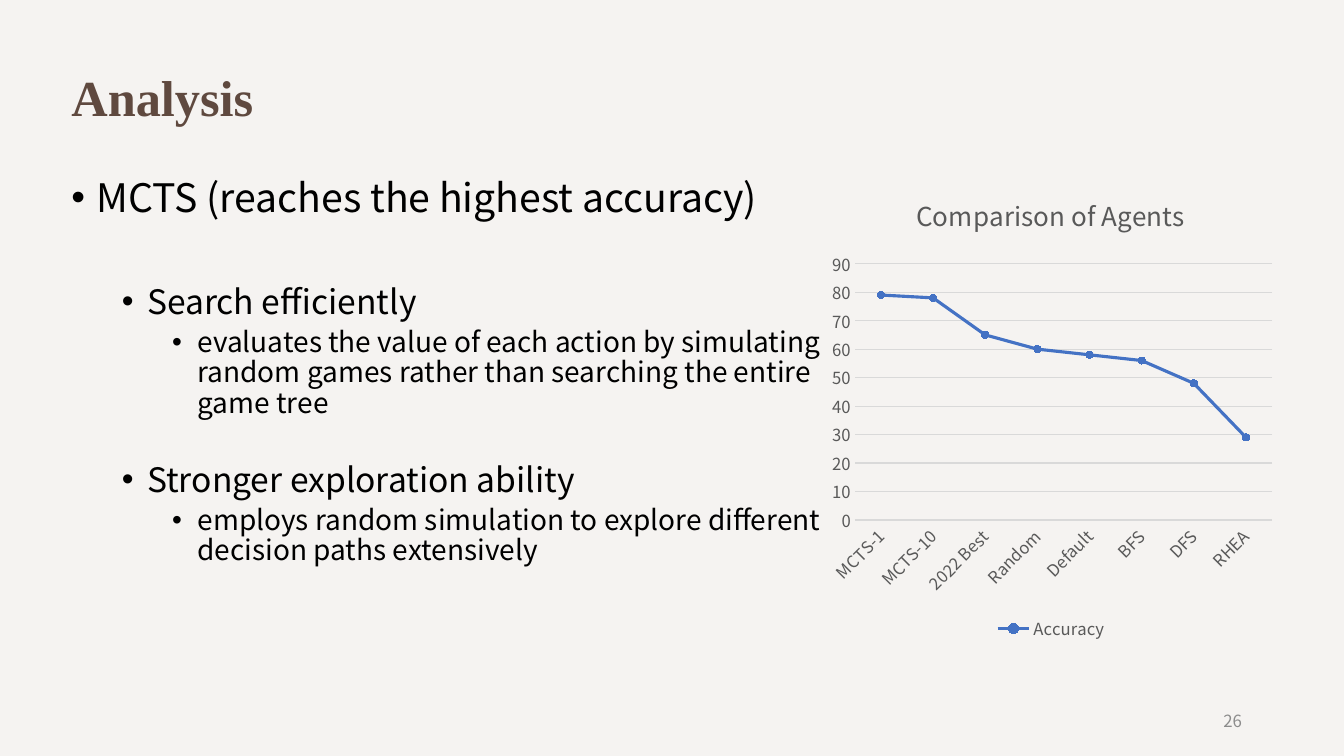
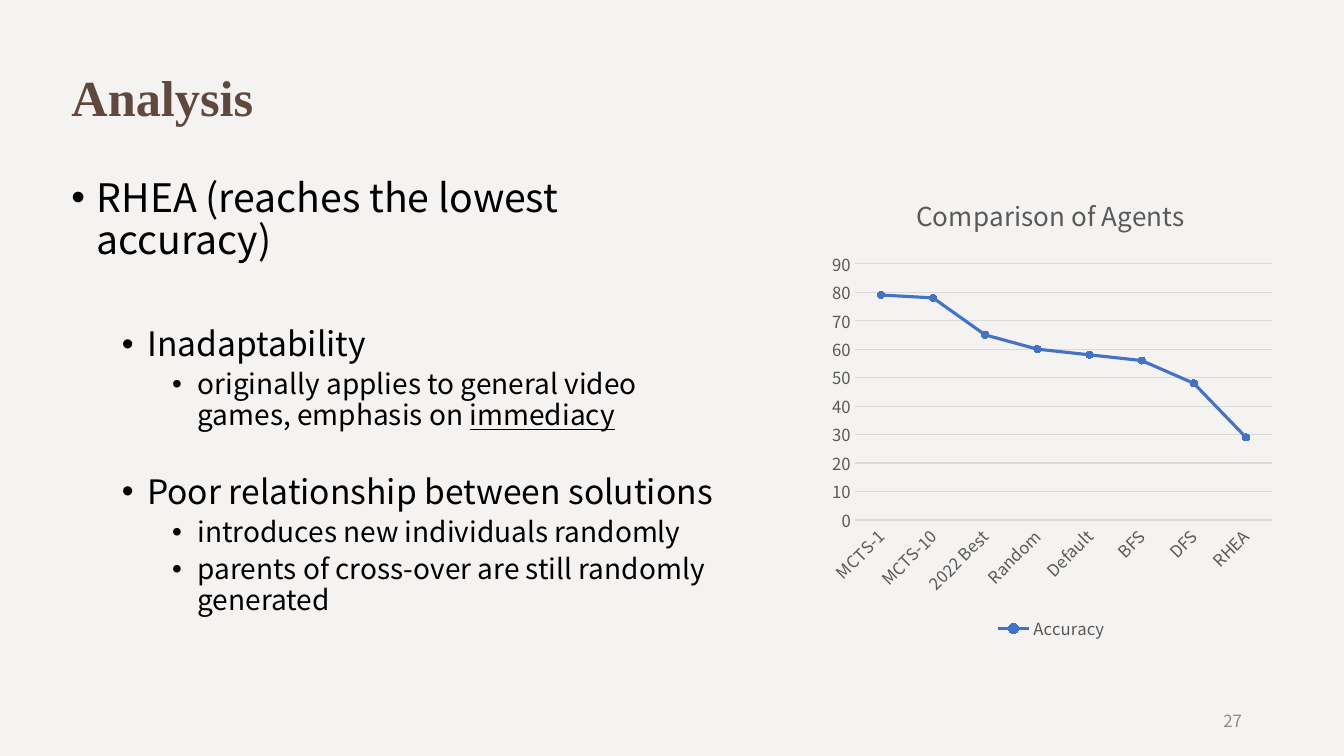
from dataclasses import dataclass

import lxml.etree
import pptx
import pptx.chart.data
import pptx.dml.color
import pptx.enum.chart
import pptx.enum.text
import pptx.oxml.ns
import pptx.util

Cm = pptx.util.Cm
Pt = pptx.util.Pt

BACKGROUND = "F5F3F1"
BROWN = "5F493F"
BLACK = "000000"
NUMBER_GREY = "8C8C8C"
CHART_GREY = "595959"
GRID_GREY = "D9D9D9"
BLUE = "4472C4"
BODY_FONT = "Noto Sans CJK SC"
TITLE_FONT = "Times New Roman"
LEFT, BODY_TOP = 1.55, 4.37
BULLET_SIZES = (28, 24, 20)
BULLET_SPACING = (10, 5, 5)
AGENTS = {
    "MCTS-1": 79,
    "MCTS-10": 78,
    "2022 Best": 65,
    "Random": 60,
    "Default": 58,
    "BFS": 56,
    "DFS": 48,
    "RHEA": 29,
}


@dataclass(frozen=True)
class Bullet:
    level: int
    text: str
    underlined: str = ""
    gap: float = 0


@dataclass(frozen=True)
class AnalysisSlide:
    number: int
    body_width: float
    bullets: tuple[Bullet, ...]


SLIDES = (
    AnalysisSlide(26, 19.86, (
        Bullet(0, "MCTS (reaches the highest accuracy)"),
        Bullet(1, "Search efficiently", gap=41),
        Bullet(2, "evaluates the value of each action by simulating random games "
                  "rather than searching the entire game tree"),
        Bullet(1, "Stronger exploration ability", gap=26.5),
        Bullet(2, "employs random simulation to explore different decision paths "
                  "extensively"),
    )),
    AnalysisSlide(27, 16.89, (
        Bullet(0, "RHEA (reaches the lowest accuracy)"),
        Bullet(1, "Inadaptability", gap=41),
        Bullet(2, "originally applies to general video games, emphasis on ",
               underlined="immediacy"),
        Bullet(1, "Poor relationship between solutions", gap=26.5),
        Bullet(2, "introduces new individuals randomly"),
        Bullet(2, "parents of cross-over are still randomly generated"),
    )),
)


def rgb(value: str) -> pptx.dml.color.RGBColor:
    return pptx.dml.color.RGBColor.from_string(value)


def style_font(font, size: float, color: str, name: str = BODY_FONT,
               bold: bool = False) -> None:
    font.size = Pt(size)
    font.name = name
    font.bold = bold
    font.color.rgb = rgb(color)


def style_line(line, color: str, width: float) -> None:
    line.color.rgb = rgb(color)
    line.width = Pt(width)


def add_text_frame(s, left: float, top: float, width: float, height: float,
                   anchor=pptx.enum.text.MSO_ANCHOR.MIDDLE):
    sp = s.shapes.add_textbox(Cm(left), Cm(top), Cm(width), Cm(height))
    tf = sp.text_frame
    tf.word_wrap = True
    tf.vertical_anchor = anchor
    return tf


def add_title(s, text: str) -> None:
    tf = add_text_frame(s, LEFT, 0.69, 29.21, 3.68)
    tf.text = text
    p = tf.paragraphs[0]
    p.line_spacing = 0.9
    style_font(p.runs[0].font, 36, BROWN, TITLE_FONT, bold=True)


def add_slide_number(s, number: int) -> None:
    tf = add_text_frame(s, 23.93, 17.65, 7.62, 1.02)
    tf.text = str(number)
    p = tf.paragraphs[0]
    p.alignment = pptx.enum.text.PP_ALIGN.RIGHT
    style_font(p.runs[0].font, 12, NUMBER_GREY)


def set_bullet(p, level: int) -> None:
    pPr = p._p.get_or_add_pPr()
    pPr.set("marL", str(Cm(0.64 + 1.27 * level)))
    pPr.set("indent", str(-Cm(0.64)))
    for tag, attribute, value in (("a:buFont", "typeface", "Arial"),
                                  ("a:buChar", "char", "•")):
        lxml.etree.SubElement(pPr, pptx.oxml.ns.qn(tag)).set(attribute, value)


def add_bullets(s, bullets: tuple[Bullet, ...], width: float) -> None:
    tf = add_text_frame(s, LEFT, BODY_TOP, width, 12.09,
                        pptx.enum.text.MSO_ANCHOR.TOP)
    for i, bullet in enumerate(bullets):
        p = tf.add_paragraph() if i else tf.paragraphs[0]
        p.text = bullet.text
        p.level = bullet.level
        p.line_spacing = 0.9
        p.space_before = Pt(BULLET_SPACING[bullet.level] + bullet.gap)
        set_bullet(p, bullet.level)
        if bullet.underlined:
            r = p.add_run()
            r.text = bullet.underlined
            r.font.underline = True
        for r in p.runs:
            style_font(r.font, BULLET_SIZES[bullet.level], BLACK)


def style_axes(chart) -> None:
    for axis in (chart.category_axis, chart.value_axis):
        axis.major_tick_mark = pptx.enum.chart.XL_TICK_MARK.NONE
        axis.minor_tick_mark = pptx.enum.chart.XL_TICK_MARK.NONE
        style_font(axis.tick_labels.font, 11.9, CHART_GREY)
    style_line(chart.category_axis.format.line, GRID_GREY, 0.75)
    label_body = chart.element.xpath(".//c:catAx/c:txPr/a:bodyPr")[0]
    label_body.set("rot", "-2700000")
    label_body.set("vert", "horz")
    values = chart.value_axis
    values.minimum_scale = 0
    values.maximum_scale = 90
    values.major_unit = 10
    values.format.line.fill.background()
    style_line(values.major_gridlines.format.line, GRID_GREY, 0.75)


def add_agent_chart(s) -> None:
    data = pptx.chart.data.CategoryChartData()
    data.categories = list(AGENTS)
    data.add_series("Accuracy", list(AGENTS.values()))
    chart = s.shapes.add_chart(
        pptx.enum.chart.XL_CHART_TYPE.LINE_MARKERS,
        Cm(20.68), Cm(BODY_TOP), Cm(11.61), Cm(11.89), data).chart
    style_font(chart.font, 10, BLACK)
    tf = chart.chart_title.text_frame
    tf.text = "Comparison of Agents"
    style_font(tf.paragraphs[0].runs[0].font, 18.6, CHART_GREY)
    chart.chart_title.include_in_layout = False
    chart.has_legend = True
    chart.legend.position = pptx.enum.chart.XL_LEGEND_POSITION.BOTTOM
    chart.legend.include_in_layout = False
    style_font(chart.legend.font, 11.9, CHART_GREY)
    style_axes(chart)

    plot = chart.plots[0]
    plot.vary_by_categories = False
    series = plot.series[0]
    series.smooth = False
    style_line(series.format.line, BLUE, 2.25)
    marker = series.marker
    marker.style = pptx.enum.chart.XL_MARKER_STYLE.CIRCLE
    marker.size = 5
    marker.format.fill.solid()
    marker.format.fill.fore_color.rgb = rgb(BLUE)
    style_line(marker.format.line, BLUE, 0.75)


def main() -> None:
    prs = pptx.Presentation()
    prs.slide_width, prs.slide_height = Cm(33.87), Cm(19.05)
    fill = prs.slide_master.background.fill
    fill.solid()
    fill.fore_color.rgb = rgb(BACKGROUND)
    for content in SLIDES:
        s = prs.slides.add_slide(prs.slide_layouts[6])
        add_title(s, "Analysis")
        add_slide_number(s, content.number)
        add_bullets(s, content.bullets, content.body_width)
        add_agent_chart(s)
    prs.save("out.pptx")


if __name__ == "__main__":
    main()
